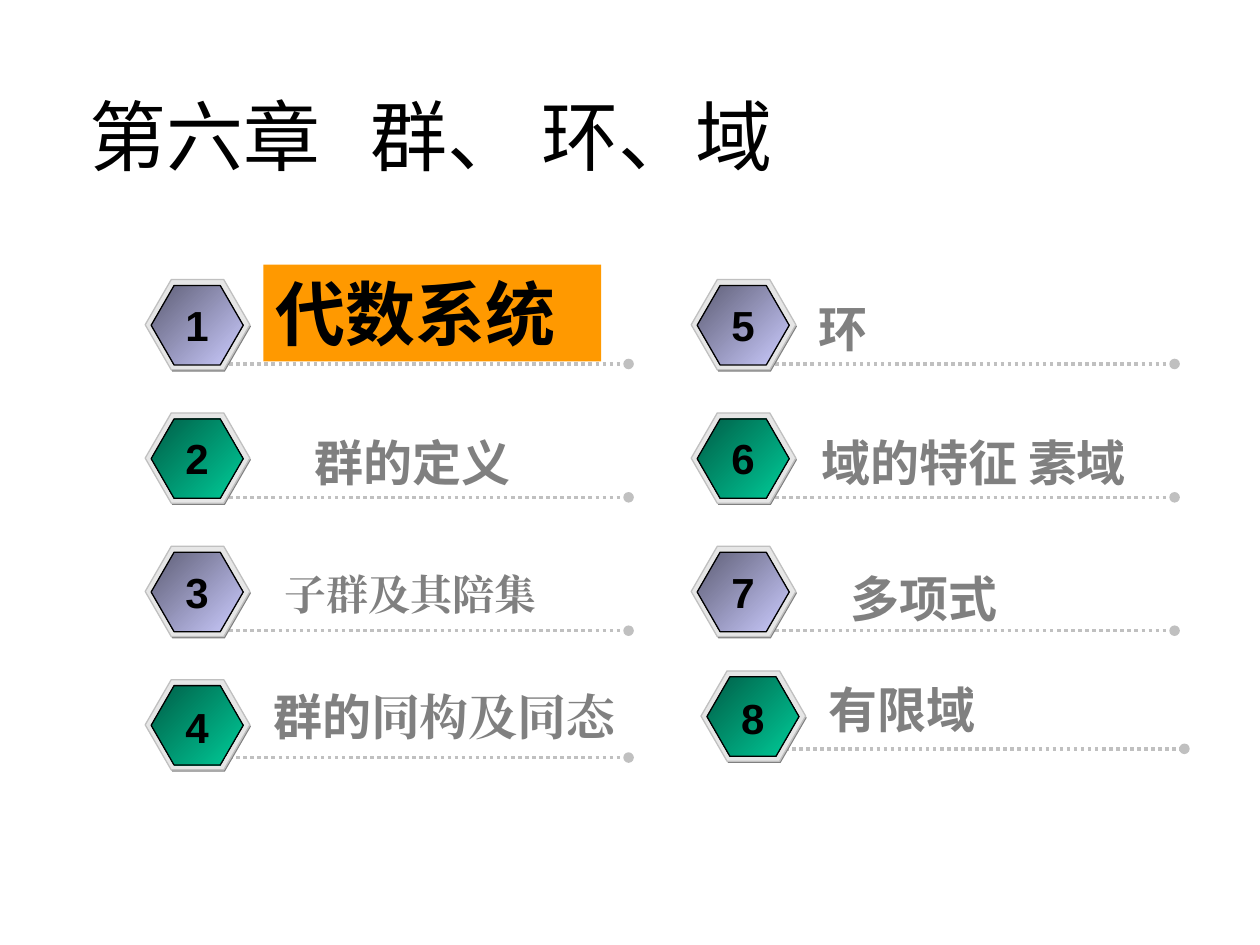
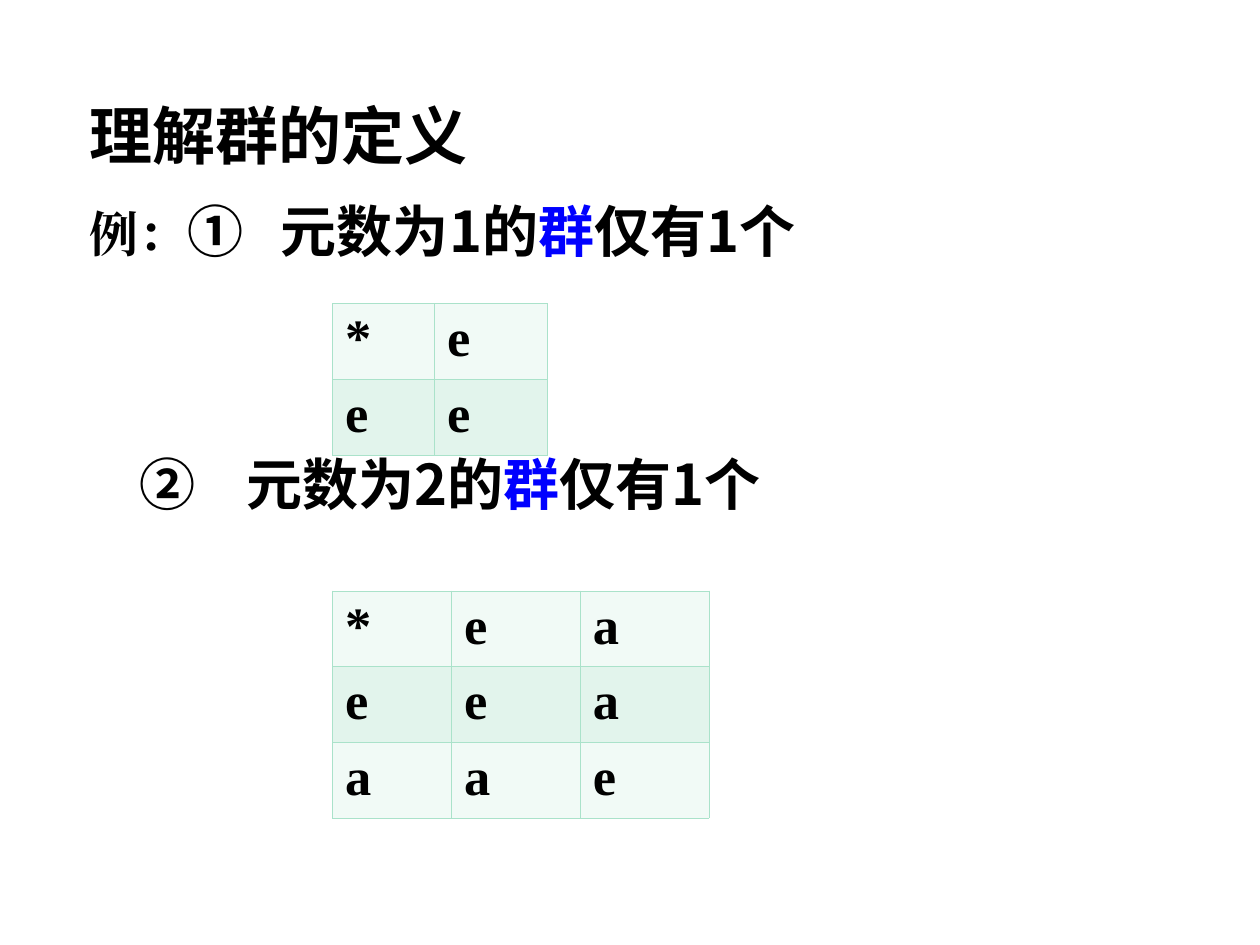
from lxml import etree
from pptx import Presentation
from pptx.dml import color
from pptx.enum import dml, shapes, text
from pptx.oxml import ns
from pptx.util import Pt

SANS, SERIF = "Noto Sans CJK SC", "Times New Roman"
BLACK, GREY, SILVER, BLUE = "000000", "808080", "C0C0C0", "0000FF"
PURPLES, GREENS = ("5E5E76", "CCCCFF"), ("005E47", "00CC99")


def rgb(value):
    return color.RGBColor.from_string(value)


def write(p, runs, tabs=()):
    """Add (text, size, font, colour, bold) runs and left tab stops."""
    if tabs:
        stops = etree.SubElement(p._p.get_or_add_pPr(), ns.qn("a:tabLst"))
        for pos in tabs:
            etree.SubElement(stops, ns.qn("a:tab"), pos=str(Pt(pos)), algn="l")
    for words, size, font, hue, bold in runs:
        r = p.add_run()
        r.text = words
        for name, value in {"size": Pt(size), "name": font, "bold": bold}.items():
            setattr(r.font, name, value)
        r.font.color.rgb = rgb(hue)
        etree.SubElement(r._r.get_or_add_rPr(), ns.qn("a:ea"), typeface=font)


prs = Presentation()
prs.slide_width, prs.slide_height = Pt(720), Pt(540)

# Slides and their titles
titles = [
    ("第六章\t群、 环、域", 44, False, [160.5]),
    ("理解群的定义", 36, True, []),
]
for words, size, bold, tabs in titles:
    s = prs.slides.add_slide(prs.slide_layouts[5])
    sp = s.shapes.title
    sp.left, sp.top, sp.width, sp.height = Pt(43.9), Pt(41.8), Pt(631.4), Pt(69.8)
    tf = sp.text_frame
    tf.auto_size = text.MSO_AUTO_SIZE.NONE
    tf.vertical_anchor = text.MSO_ANCHOR.MIDDLE
    tf.paragraphs[0].alignment = text.PP_ALIGN.LEFT
    write(tf.paragraphs[0], [(words, size, SANS, BLACK, bold)], tabs)
contents, groups = prs.slides

# Chapter contents: two columns of four numbered entries
# Each entry: label runs, then label left, top, width, height
entries = [
    ([("代数系统", 40, SANS, BLACK, True)], 150.5, 151.2, 193, 55.4),
    ([("群的定义", 28, SANS, GREY, True)], 172.8, 243.4, 149.8, 41),
    ([("子群及其陪集", 24, SERIF, GREY, True)], 155.5, 321.1, 198.7, 64.8),
    ([("群的", 28, SANS, GREY, True), ("同构及同态", 28, SERIF, GREY, True)],
     149, 388.8, 222.5, 41),
    ([("环", 28, SANS, GREY, True)], 460.8, 167, 192.2, 41),
    ([("域的特征 素域", 28, SANS, GREY, True)], 462.2, 243.4, 209.5, 41),
    ([("多项式", 28, SANS, GREY, True)], 478.8, 321.1, 149.8, 41),
    ([("有限域", 28, SANS, GREY, True)], 466.6, 384.5, 222.5, 41),
]
for i, (label, left, top, width, height) in enumerate(entries):
    column, row = divmod(i, 4)
    x, y = 83 + 312 * column, 159.8 + 76.2 * row
    if i == 7:  # the last entry sits slightly apart
        x, y = x + 5.6, y - 5

    # Dotted rule ending in a dot
    rule_y = y + (44.5 if row == 3 else 48.2)
    rule = contents.shapes.add_connector(
        shapes.MSO_CONNECTOR.STRAIGHT,
        Pt(x + 48), Pt(rule_y), Pt(x + 276.2), Pt(rule_y))
    rule.line.color.rgb = rgb(SILVER)
    rule.line.width = Pt(2)
    rule.line.dash_style = dml.MSO_LINE.ROUND_DOT
    etree.SubElement(rule.line._get_or_add_ln(), ns.qn("a:tailEnd"), type="oval")
    etree.SubElement(rule._element.spPr, ns.qn("a:effectLst"))

    # Hexagon badge: shade, rim, face
    badge = contents.shapes.add_group_shape()
    face = GREENS if row % 2 else PURPLES
    layers = [(0.6, 1, 59.8, 51.6, GREY, None),
              (0, 0, 59.8, 51.6, "E6E6E6", SILVER),
              (3.4, 3.4, 52.6, 45.4, face, BLACK)]
    for dx, dy, w, h, fill, edge in layers:
        sp = badge.shapes.add_shape(
            shapes.MSO_SHAPE.HEXAGON, Pt(x + dx), Pt(y + dy), Pt(w), Pt(h))
        sp.shadow.inherit = False
        sp.adjustments[0] = 0.289
        if fill is face:
            sp.fill.gradient()
            sp.fill.gradient_angle = 315
            for stop, hue in zip(sp.fill.gradient_stops, face):
                stop.color.rgb = rgb(hue)
        else:
            sp.fill.solid()
            sp.fill.fore_color.rgb = rgb(fill)
        if edge:
            sp.line.color.rgb = rgb(edge)
            sp.line.width = Pt(0.75)
        else:
            sp.line.fill.background()

    # Number and label
    sp = contents.shapes.add_textbox(
        Pt(x + 15.8), Pt(y + (9 if row == 3 else 7.8)), Pt(27.4), Pt(36))
    sp.text_frame.word_wrap = False
    p = sp.text_frame.paragraphs[0]
    p.alignment = text.PP_ALIGN.CENTER
    write(p, [(str(i + 1), 24, "Arial", BLACK, True)])

    sp = contents.shapes.add_textbox(Pt(left), Pt(top), Pt(width), Pt(height))
    sp.text_frame.word_wrap = True
    write(sp.text_frame.paragraphs[0], label)
    if i == 0:  # current section
        sp.fill.solid()
        sp.fill.fore_color.rgb = rgb("FF9900")

# Examples of groups of order 1 and 2
sp = groups.shapes.add_textbox(Pt(43.9), Pt(115.9), Pt(653.8), Pt(360))
tf = sp.text_frame
tf.word_wrap = True
ending = [("群", 32, SANS, BLUE, True), ("仅有1个", 32, SANS, BLACK, True)]
examples = [
    ([("例：", 28, SERIF, BLACK, True), ("①\t元数为1的", 32, SANS, BLACK, True)],
     [109.5], 0),
    ([("\t②\t元数为2的", 32, SANS, BLACK, True)], [28.5, 89.7], 114),
]
for i, (opening, tabs, gap) in enumerate(examples):
    p = tf.add_paragraph() if i else tf.paragraphs[0]
    p.line_spacing = 0.8
    p.space_before = Pt(gap)
    write(p, opening + ending, tabs)

# Operation tables: top, column widths, rows of symbols
tables = [
    (173.5, [58.3, 64.4], ["*e", "ee"]),
    (337.7, [68, 73.6, 73.6], ["*ea", "eea", "aae"]),
]
for top, widths, rows in tables:
    table = groups.shapes.add_table(
        len(rows), len(widths), Pt(190), Pt(top),
        Pt(sum(widths)), Pt(43.2 * len(rows))).table
    table.first_row = table.horz_banding = False
    for column, width in zip(table.columns, widths):
        column.width = Pt(width)
    for i, symbols in enumerate(rows):
        for j, symbol in enumerate(symbols):
            cell = table.cell(i, j)
            write(cell.text_frame.paragraphs[0], [(symbol, 30, SERIF, BLACK, True)])
            tcPr = cell._tc.get_or_add_tcPr()
            for side in "LRTB":
                ln = etree.SubElement(tcPr, ns.qn("a:ln" + side), w=str(Pt(0.45)))
                fill = etree.SubElement(ln, ns.qn("a:solidFill"))
                etree.SubElement(fill, ns.qn("a:srgbClr"), val="AAE2CA")
            cell.fill.solid()
            cell.fill.fore_color.rgb = rgb("E2F4EC" if i % 2 else "F1FAF6")

prs.save("out.pptx")
